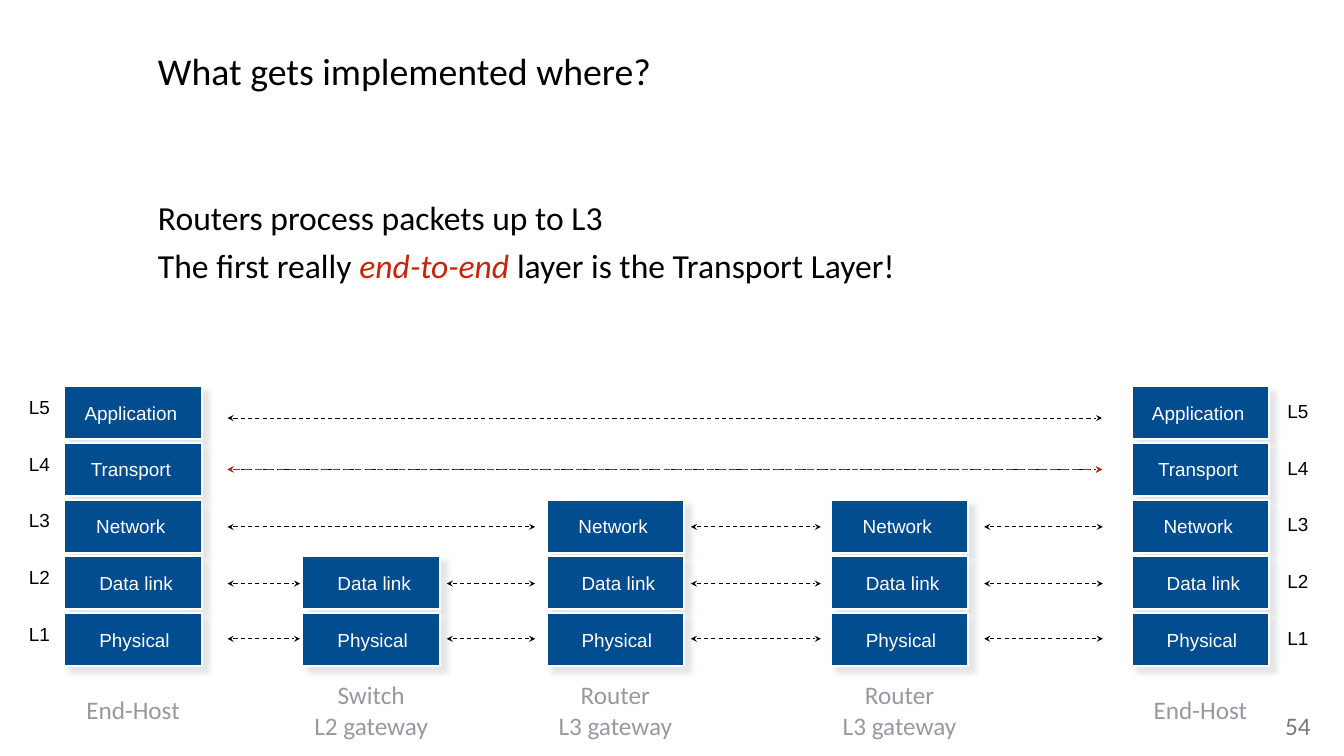
"""Build a slide showing which network layers each device implements."""
from lxml import etree
from pptx import Presentation
from pptx.dml.color import RGBColor
from pptx.enum.dml import MSO_LINE
from pptx.enum.shapes import MSO_CONNECTOR, MSO_SHAPE
from pptx.enum.text import MSO_ANCHOR, PP_ALIGN
from pptx.oxml.ns import qn
from pptx.util import Inches, Pt

STRAIGHT, RECTANGLE = MSO_CONNECTOR.STRAIGHT, MSO_SHAPE.RECTANGLE
DASH = MSO_LINE.DASH
TOP, MIDDLE = MSO_ANCHOR.TOP, MSO_ANCHOR.MIDDLE
LEFT, CENTER = PP_ALIGN.LEFT, PP_ALIGN.CENTER

BLACK = RGBColor(0x00, 0x00, 0x00)
WHITE = RGBColor(0xFF, 0xFF, 0xFF)
BLUE = RGBColor(0x02, 0x4C, 0x90)
RED = RGBColor(0xC8, 0x21, 0x01)
ACCENT = RGBColor(0xC8, 0x25, 0x06)
CAPTION_GRAY = RGBColor(0x95, 0x9A, 0xA2)
NUMBER_GRAY = RGBColor(0x7A, 0x7A, 0x7A)
SHADOW_GRAY = "DCDEE0"

TITLE = "What gets implemented where?"
MESSAGES = [
    [("Routers process packets up to L3", {})],
    [("The first really ", {}),
     ("end-to-end ", {"color": ACCENT, "italic": True}),
     ("layer is the Transport Layer!", {})],
]
PAGE_NUMBER = "54"

# name, left inset, right inset
LAYERS = [
    ("Application", 0.04, 0.1),
    ("Transport", 0.04, 0.1),
    ("Network", 0.04, 0.1),
    ("Data link", 0.12, 0.04),
    ("Physical", 0.08, 0.04),
]
# left edge, number of layers, caption lines
DEVICES = [
    (0.85, 5, ["End-Host"]),
    (4, 2, ["Switch", "L2 gateway"]),
    (7.23, 3, ["Router", "L3 gateway"]),
    (10.99, 3, ["Router", "L3 gateway"]),
    (14.97, 5, ["End-Host"]),
]
# left edge, offset below the top of the layer
LEVEL_COLUMNS = [(0.32, 0.14), (16.97, 0.19)]
ARROW_HEIGHTS = [5.53, 6.21, 6.97, 7.72, 8.45]
# start, end, layer rows
ARROWS = [
    (3.01, 14.58, [0, 1]),
    (3.01, 7.08, [2]),
    (3.01, 3.97, [3, 4]),
    (5.91, 7.08, [3, 4]),
    (9.14, 10.86, [2, 3, 4]),
    (13.02, 14.59, [2, 3, 4]),
]

STACK_TOP, ROW_STEP = 5.11, 0.75
BOX_WIDTH, BOX_HEIGHT = 1.82, 0.7
CAPTION_CENTER, CAPTION_WIDTH = 9.39, 1.65

LABEL = {"name": "Arial", "size": Pt(18), "color": WHITE}
LEVEL = {**LABEL, "color": BLACK}
HEADING = {"name": "Calibri", "size": Pt(36), "color": BLACK}
MESSAGE = {**HEADING, "size": Pt(32)}
CAPTION = {"name": "Calibri", "size": Pt(24), "color": CAPTION_GRAY}
NUMBER = {**CAPTION, "color": NUMBER_GRAY}


def style_font(font, values):
    for key, value in values.items():
        if key == "color":
            font.color.rgb = value
        else:
            setattr(font, key, value)


def write(shape, lines, style, insets=(0, 0, 0, 0), anchor=MIDDLE, wrap=False, **paragraph):
    frame = shape.text_frame
    frame.word_wrap, frame.vertical_anchor = wrap, anchor
    for side, inset in zip(("left", "top", "right", "bottom"), insets):
        setattr(frame, f"margin_{side}", Inches(inset))
    for index, line in enumerate(lines):
        para = frame.add_paragraph() if index else frame.paragraphs[0]
        settings = {"alignment": CENTER, **paragraph}
        if not index:
            settings.pop("space_before", None)
        for key, value in settings.items():
            setattr(para, key, value)
        for text, changes in ([(line, {})] if isinstance(line, str) else line):
            span = para.add_run()
            span.text = text
            style_font(span.font, {**style, **changes})


def add_text(page, area, lines, style, **options):
    box = page.shapes.add_textbox(*map(Inches, area))
    write(box, lines, style, **options)


def add_effects(shape):
    return etree.SubElement(shape._element.spPr, qn("a:effectLst"))


def add_layer(page, left, row):
    name, left_inset, right_inset = LAYERS[row]
    top = STACK_TOP + row * ROW_STEP
    box = page.shapes.add_shape(
        RECTANGLE, *map(Inches, (left, top, BOX_WIDTH, BOX_HEIGHT)))
    box.fill.solid()
    box.fill.fore_color.rgb = BLUE
    box.line.color.rgb = WHITE
    box.line.width = Pt(2)
    shadow = etree.SubElement(
        add_effects(box), qn("a:outerShdw"), blurRad=str(Pt(5)), dist=str(Pt(8)),
        dir="2700000", algn="ctr", rotWithShape="0")
    color = etree.SubElement(shadow, qn("a:srgbClr"), val=SHADOW_GRAY)
    etree.SubElement(color, qn("a:alpha"), val="75000")
    write(box, [name], LABEL, insets=(left_inset, 0.04, right_inset, 0.04))


def add_arrow(page, start, end, height, color=BLACK, width=1):
    arrow = page.shapes.add_connector(
        STRAIGHT, *map(Inches, (start, height, end, height)))
    arrow.line.color.rgb = color
    arrow.line.width = Pt(width)
    arrow.line.dash_style = DASH
    outline = arrow.line._get_or_add_ln()
    for tag in ("a:headEnd", "a:tailEnd"):
        etree.SubElement(outline, qn(tag), type="stealth")
    add_effects(arrow)


def main():
    deck = Presentation()
    deck.slide_width, deck.slide_height = Inches(17.78), Inches(10)
    page = deck.slides.add_slide(deck.slide_layouts[6])

    heading_layout = {"insets": (0.35, 0, 0, 0), "wrap": True, "alignment": LEFT}
    add_text(page, (1.74, 0, 14.31, 1.85), [TITLE], HEADING, **heading_layout)
    add_text(page, (1.74, 2.4, 14.31, 1.57), MESSAGES, MESSAGE,
             space_before=Pt(7), **heading_layout)
    add_text(page, (16.94, 9.39, 0.46, 0.5), [PAGE_NUMBER], NUMBER, anchor=TOP)

    for left, count, caption in DEVICES:
        for row in range(len(LAYERS) - count, len(LAYERS)):
            add_layer(page, left, row)
        height = 0.12 + 0.4 * len(caption)
        area = (left + (BOX_WIDTH - CAPTION_WIDTH) / 2, CAPTION_CENTER - height / 2,
                CAPTION_WIDTH, height)
        add_text(page, area, caption, CAPTION, insets=(0.06,) * 4)

    for left, offset in LEVEL_COLUMNS:
        for row in range(len(LAYERS)):
            area = (left, STACK_TOP + row * ROW_STEP + offset, 0.44, 0.47)
            add_text(page, area, [f"L{len(LAYERS) - row}"], LEVEL, anchor=TOP,
                     insets=(0.03, 0.03, 0.07, 0.03), line_spacing=0.85)

    for start, end, rows in ARROWS:
        for row in rows:
            add_arrow(page, start, end, ARROW_HEIGHTS[row])
    start, end, _ = ARROWS[0]
    add_arrow(page, start, end, ARROW_HEIGHTS[1], RED, 1.5)

    deck.save("out.pptx")


if __name__ == "__main__":
    main()
